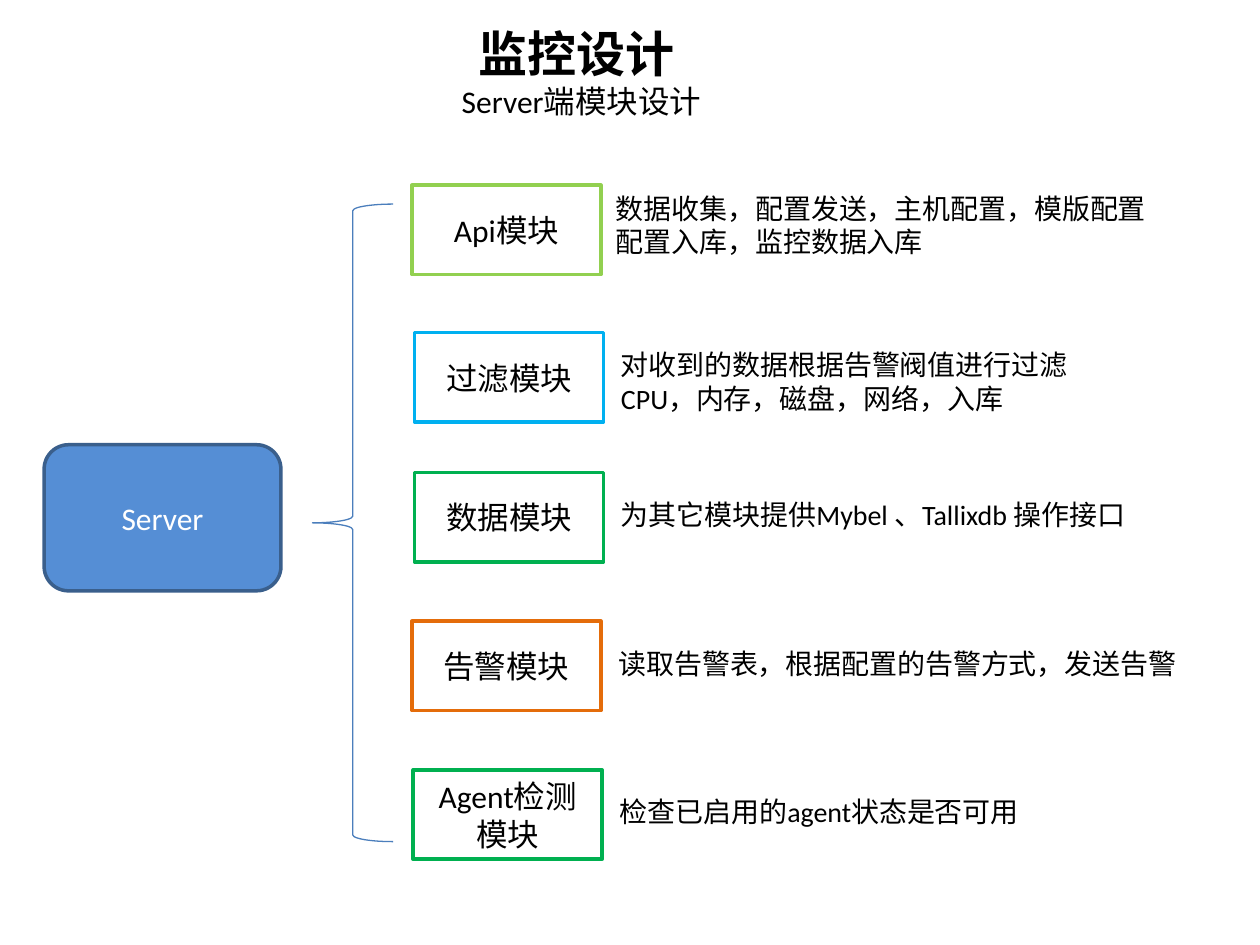
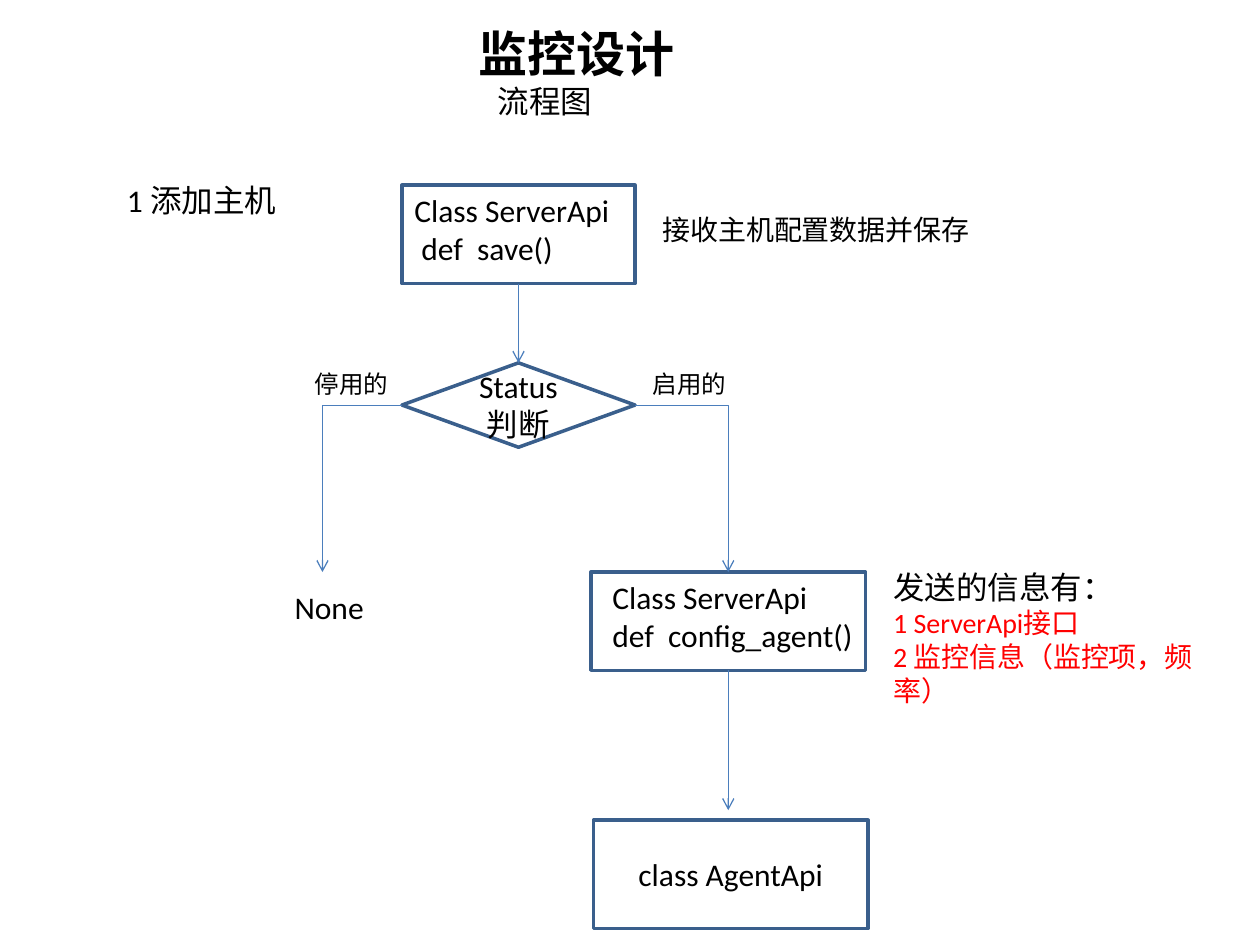
from lxml.etree import SubElement
from pptx import Presentation
from pptx.dml.color import RGBColor
from pptx.enum.shapes import MSO_CONNECTOR, MSO_SHAPE
from pptx.enum.text import MSO_ANCHOR, MSO_AUTO_SIZE, PP_ALIGN
from pptx.oxml.ns import qn
from pptx.util import Inches, Pt

FONT = "Calibri"
COLORS = {
    "black": "000000", "white": "FFFFFF", "red": "FF0000",
    "server": "558ED5", "outline": "3A5F8C", "connector": "4B7EBC",
    "lime": "92D050", "sky": "00B0F0", "green": "00B050", "orange": "E46C0A",
}

# Shared content
TITLE = "监控设计"

# Slide 1: name, outline, box left and top, description left, top and width, description
MODULE_SIZE = (1.5, 0.71)
MODULES = [
    ("Api模块", "lime", (3.27, 1.47), (4.79, 1.47, 4.47),
     ["数据收集，配置发送，主机配置，模版配置", "配置入库，监控数据入库"]),
    ("过滤模块", "sky", (3.29, 2.64), (4.83, 2.71, 3.79),
     ["对收到的数据根据告警阀值进行过滤", "CPU，内存，磁盘，网络，入库"]),
    ("数据模块", "green", (3.29, 3.75), (4.83, 3.9, 4.28),
     ["为其它模块提供Mybel 、Tallixdb 操作接口"]),
    ("告警模块", "orange", (3.27, 4.93), (4.81, 5.08, 4.69),
     ["读取告警表，根据配置的告警方式，发送告警"]),
    ("Agent检测模块", "green", (3.28, 6.11), (4.82, 6.26, 3.41),
     ["检查已启用的agent状态是否可用"]),
]

# Slide 2: text, size, left, top, width, height
FLOW_LABELS = [
    ("1 添加主机", 18, (0.91, 1.39, 1.4, 0.4)),
    ("接收主机配置数据并保存", 16, (5.16, 1.64, 2.67, 0.37)),
    ("启用的", 14, (5.08, 2.88, 0.79, 0.34)),
    ("停用的", 14, (2.4, 2.88, 0.79, 0.34)),
    ("None", 18, (2.24, 4.62, 0.76, 0.4)),
]
SENT_HEADING = "发送的信息有："
SENT_ITEMS = ["1 ServerApi接口", "2 监控信息（监控项，频率）"]


def rgb(name):
    return RGBColor.from_string(COLORS[name])


def write(frame, lines, size, color="black", align=PP_ALIGN.LEFT, bold=False):
    """Fill a text frame with one paragraph per line."""
    frame.word_wrap = True
    for index, line in enumerate(lines):
        paragraph = frame.paragraphs[0] if index == 0 else frame.add_paragraph()
        paragraph.text = line
        paragraph.alignment = align
        paragraph.font.name = FONT
        paragraph.font.size = Pt(size)
        paragraph.font.bold = bold
        paragraph.font.color.rgb = rgb(color)


def add_text(slide, box, lines, size):
    text_box = slide.shapes.add_textbox(*map(Inches, box))
    write(text_box.text_frame, lines, size)
    return text_box


def add_box(slide, kind, box, lines=(), line="outline", fill="white",
            color="black", align=PP_ALIGN.CENTER, anchor=MSO_ANCHOR.MIDDLE):
    shape = slide.shapes.add_shape(kind, *map(Inches, box))
    shape.shadow.inherit = False
    shape.fill.solid()
    shape.fill.fore_color.rgb = rgb(fill)
    shape.line.color.rgb = rgb(line)
    shape.line.width = Pt(2)
    shape.text_frame.vertical_anchor = anchor
    write(shape.text_frame, lines, 18, color, align)
    return shape


def add_arrow(slide, kind, start, end):
    arrow = slide.shapes.add_connector(kind, *map(Inches, start + end))
    arrow.line.color.rgb = rgb("connector")
    arrow.line.width = Pt(0.75)
    properties = arrow._element.spPr
    SubElement(properties.find(qn("a:ln")), qn("a:tailEnd"), type="arrow")
    SubElement(properties, qn("a:effectLst"))
    if kind == MSO_CONNECTOR.ELBOW:  # a single corner
        properties.find(qn("a:prstGeom")).set("prst", "bentConnector2")
    return arrow


def add_slide(presentation, subtitle, subtitle_left):
    """Add a slide with the shared title and its own subtitle."""
    slide = presentation.slides.add_slide(presentation.slide_layouts[5])
    title = slide.shapes.title
    title.left, title.top = Inches(3.7), Inches(0.14)
    title.width, title.height = Inches(2), Inches(0.55)
    title.text_frame.auto_size = MSO_AUTO_SIZE.NONE
    title.text_frame.vertical_anchor = MSO_ANCHOR.TOP
    write(title.text_frame, [TITLE], 28, bold=True)
    add_text(slide, (subtitle_left, 0.6, 2.18, 0.4), [subtitle], 18)
    return slide


def build_modules(presentation):
    slide = add_slide(presentation, " Server端模块设计", 3.51)
    add_box(slide, MSO_SHAPE.ROUNDED_RECTANGLE, (0.35, 3.53, 1.88, 1.16),
            ["Server"], fill="server", color="white")

    # Brace from the server to its modules
    brace = slide.shapes.add_shape(
        MSO_SHAPE.LEFT_BRACE, *map(Inches, (2.48, 1.62, 0.64, 5.06)))
    brace.shadow.inherit = False
    brace.fill.background()
    brace.line.color.rgb = rgb("connector")
    brace.line.width = Pt(0.75)

    for name, outline, place, (left, top, width), description in MODULES:
        add_box(slide, MSO_SHAPE.RECTANGLE, place + MODULE_SIZE, [name], outline)
        height = 0.1 + 0.27 * len(description)
        add_text(slide, (left, top, width, height), description, 16)


def build_flow(presentation):
    slide = add_slide(presentation, "流程图", 3.85)

    # Steps
    code_style = {"align": PP_ALIGN.LEFT, "anchor": MSO_ANCHOR.TOP}
    save = add_box(slide, MSO_SHAPE.RECTANGLE, (3.19, 1.47, 1.85, 0.78),
                   ["Class ServerApi", " def  save()"], **code_style)
    status = add_box(slide, MSO_SHAPE.FLOWCHART_DECISION,
                     (3.19, 2.88, 1.85, 0.67), ["Status判断"])
    config = add_box(slide, MSO_SHAPE.RECTANGLE, (4.69, 4.54, 2.18, 0.78),
                     ["Class ServerApi", "def  config_agent()"], **code_style)
    config.text_frame.margin_left = Inches(0.17)
    config.text_frame.margin_right = Inches(0.02)
    add_box(slide, MSO_SHAPE.RECTANGLE, (4.71, 6.51, 2.18, 0.86),
            ["class AgentApi"])

    # Arrows
    check = add_arrow(slide, MSO_CONNECTOR.STRAIGHT, (4.11, 2.25), (4.11, 2.88))
    check.begin_connect(save, 2)
    check.end_connect(status, 0)
    send = add_arrow(slide, MSO_CONNECTOR.STRAIGHT, (5.78, 5.32), (5.78, 6.43))
    send.begin_connect(config, 2)
    add_arrow(slide, MSO_CONNECTOR.ELBOW, (5.04, 3.22), (5.78, 4.54))
    add_arrow(slide, MSO_CONNECTOR.ELBOW, (3.19, 3.22), (2.56, 4.54))

    # Labels and the list of what is sent
    for text, size, box in FLOW_LABELS:
        add_text(slide, box, [text], size)
    sent = add_text(slide, (6.99, 4.46, 2.95, 1.2),
                    [SENT_HEADING] + SENT_ITEMS, 18)
    for paragraph in sent.text_frame.paragraphs[1:]:
        paragraph.font.size = Pt(16)
        paragraph.font.color.rgb = rgb("red")


def main():
    presentation = Presentation()
    presentation.slide_width, presentation.slide_height = Inches(10), Inches(7.5)
    build_modules(presentation)
    build_flow(presentation)
    presentation.save("out.pptx")


if __name__ == "__main__":
    main()
